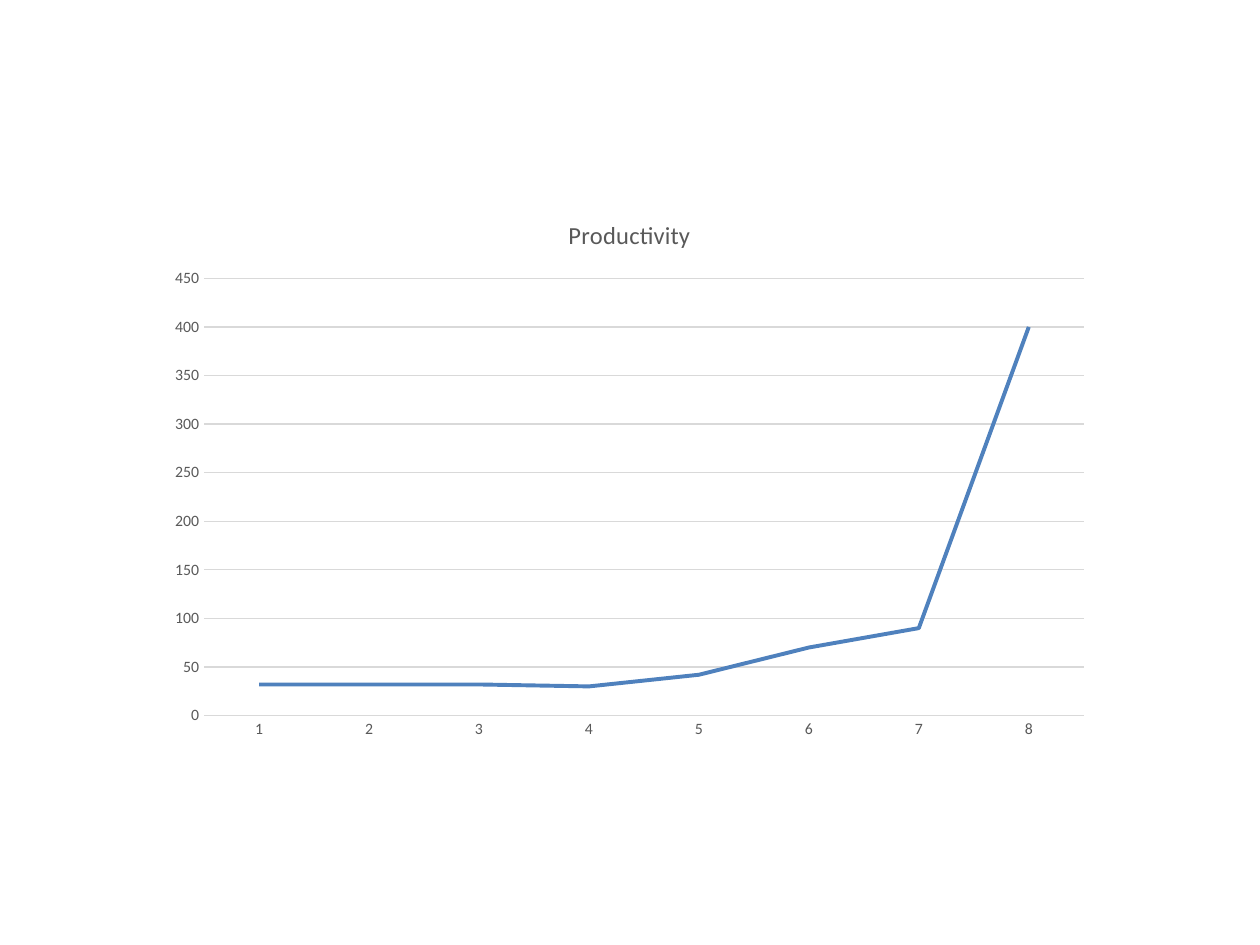
from pptx import Presentation
from pptx.chart.data import CategoryChartData
from pptx.dml.color import RGBColor
from pptx.enum import chart as ch
from pptx.util import Cm, Pt

TITLE = "Productivity"
SERIES = "Series 1"
VALUES = [32, 32, 32, 30, 42, 70, 90, 400]
COLORS = {"line": "4F81BD", "text": "595959", "grid": "D9D9D9", "base": "000000"}
FONT = "Calibri"


def set_font(font, size, color):
    font.name, font.size, font.bold = FONT, Pt(size), False
    font.color.rgb = RGBColor.from_string(COLORS[color])


def set_line(line, width, color):
    line.width = Pt(width)
    line.color.rgb = RGBColor.from_string(COLORS[color])


prs = Presentation()
prs.slide_width, prs.slide_height = Cm(25.4), Cm(19.05)
s = prs.slides.add_slide(prs.slide_layouts[6])

# Line chart
data = CategoryChartData()
data.categories = [str(n) for n in range(1, len(VALUES) + 1)]
data.add_series(SERIES, VALUES)
chart = s.shapes.add_chart(ch.XL_CHART_TYPE.LINE, Cm(3.15), Cm(3.94),
                           Cm(19.08), Cm(11.18), data).chart
set_font(chart.font, 10, "base")
chart.has_legend = False

# Title
chart.has_title = True
tf = chart.chart_title.text_frame
tf.text = TITLE
set_font(tf.paragraphs[0].font, 14, "text")
chart.chart_title.include_in_layout = False

# Series
plot = chart.plots[0]
plot.vary_by_categories = False
productivity = plot.series[0]
productivity.smooth = False
productivity.marker.style = ch.XL_MARKER_STYLE.NONE
set_line(productivity.format.line, 2.25, "line")

# Axes and gridlines
for axis in (chart.category_axis, chart.value_axis):
    axis.major_tick_mark = axis.minor_tick_mark = ch.XL_TICK_MARK.NONE
    set_font(axis.tick_labels.font, 9, "text")
set_line(chart.category_axis.format.line, 0.75, "grid")
value_axis = chart.value_axis
value_axis.format.line.fill.background()
value_axis.minimum_scale, value_axis.maximum_scale = 0, 450
value_axis.major_unit = 50
set_line(value_axis.major_gridlines.format.line, 0.75, "grid")

prs.save("out.pptx")
